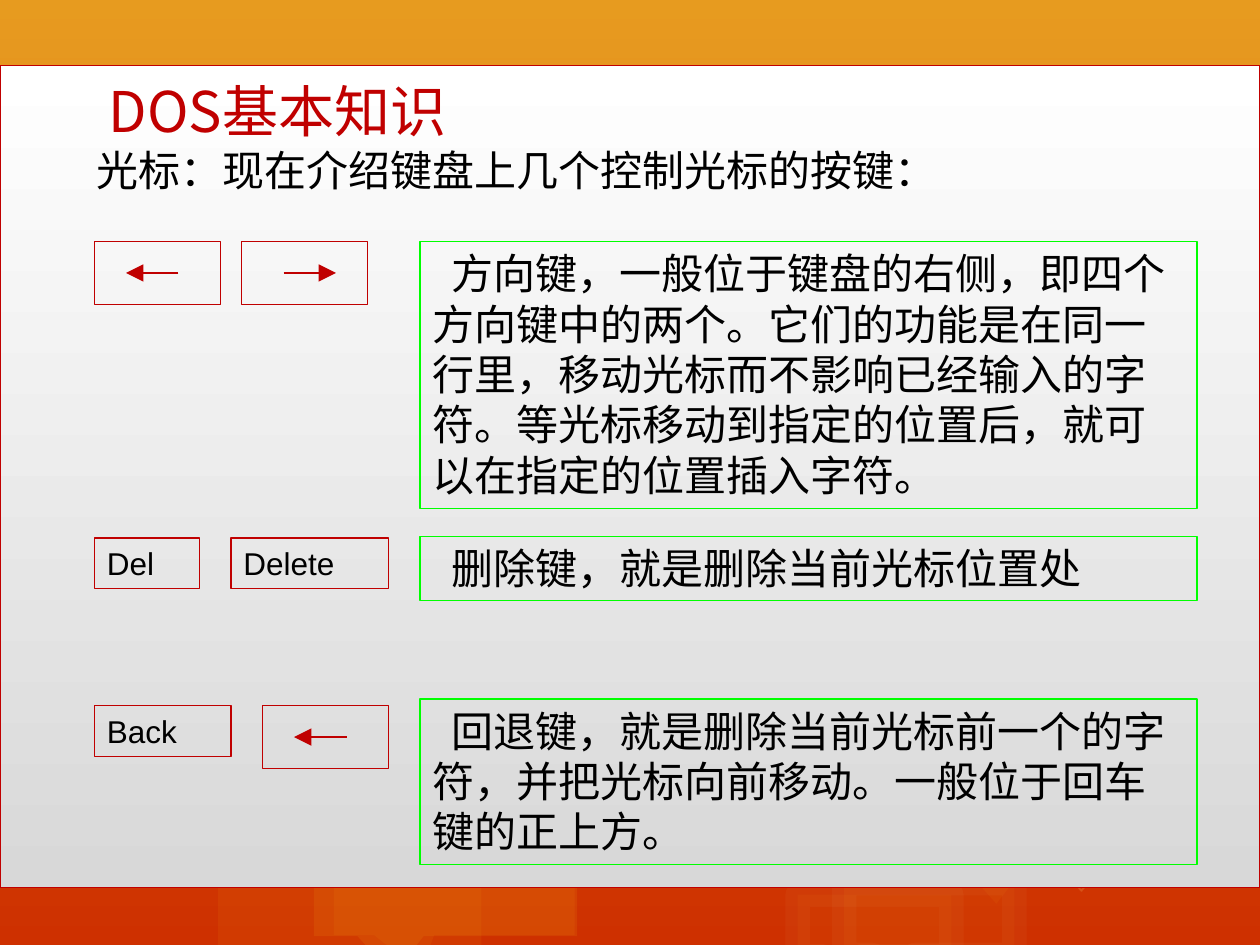
from lxml.etree import SubElement
from pptx import Presentation
from pptx.dml.color import RGBColor
from pptx.enum.shapes import MSO_CONNECTOR, MSO_SHAPE
from pptx.enum.text import MSO_ANCHOR, MSO_AUTO_SIZE, PP_ALIGN
from pptx.oxml.ns import qn
from pptx.util import Pt

COLORS = {
    "sky": "E29121", "ember": "CE3000", "amber": "FDC51B", "cream": "FEEAAC",
    "butter": "FFE181", "white": "FFFFFF", "silver": "D8D8D8", "red": "C00000",
    "green": "00FF00", "black": "000000",
}
CJK, LATIN = "Noto Sans CJK SC", "Arial"
NOTE_LEFT, NOTE_WIDTH = 240, 444
LABEL_HEIGHT, ARROW_KEY_WIDTH, ARROW_KEY_HEIGHT = 29, 72, 36
POINTER = (-0.2, 0.65)
FAINT_EDGE = ("cream", 14, 3)

CALLOUTS = [
    ((190.8, 383.8, 137.5, 150.5), "amber", 7, None, (-0.14, 0.64)),
    ((179.3, 384.5, 150.5, 150.5), "amber", 10, None, POINTER),
    ((0, 0, 720, 146.9), "amber", 20, None, (-0.2, 0.45)),
    ((524.2, 343.4, 150.5, 150.5), "amber", 5, None, POINTER),
    ((455.8, 511.2, 87.8, 35.3), "amber", 5, FAINT_EDGE, POINTER),
    ((482.4, 504.7, 97.2, 41), "amber", 5, FAINT_EDGE, POINTER),
    ((600.5, 442.1, 58.3, 58.3), "butter", 5, ("butter", 1, 14), POINTER),
    ((648, 446.4, 47.5, 47.5), "butter", 5, ("butter", 5, 14), POINTER),
    ((124.6, 429.8, 150.5, 115.9), "amber", 7, None, POINTER),
]
LABEL_KEYS = [("Del", 54, 307.4, 60), ("Delete", 132, 307.4, 90), ("Back", 54, 403.2, 78)]
ARROW_KEYS = [(138, 138, 162, 192), (54, 138, 102, 72), (150, 403.2, 198, 168)]
NOTES = [
    ("方向键，一般位于键盘的右侧，即四个方向键中的两个。它们的功能是在同一行里，"
     "移动光标而不影响已经输入的字符。等光标移动到指定的位置后，就可以在指定的位置插入字符。",
     138, 152.6),
    ("删除键，就是删除当前光标位置处", 306.7, 36.3),
    ("回退键，就是删除当前光标前一个的字符，并把光标向前移动。一般位于回车键的正上方。",
     399.4, 94.6),
]


def rgb(name):
    """Return the named palette colour."""
    return RGBColor.from_string(COLORS[name])


def fade(fill, color_name, opacity):
    """Fill with a colour at the given percentage of opacity."""
    fill.solid()
    fill.fore_color.rgb = rgb(color_name)
    color = fill._xPr.find(qn("a:solidFill")).find(qn("a:srgbClr"))
    SubElement(color, qn("a:alpha")).set("val", str(opacity * 1000))


def blend(fill, top_color, bottom_color):
    """Apply a gradient running from top to bottom."""
    fill.gradient()
    fill.gradient_angle = 270
    for stop, name in zip(fill.gradient_stops, (top_color, bottom_color)):
        stop.color.rgb = rgb(name)


def write(frame, wording, size, font_name, color="black", indent=0, pitch=None):
    """Put one left-aligned paragraph into a text frame."""
    frame.word_wrap = True
    frame.auto_size = MSO_AUTO_SIZE.NONE
    frame.vertical_anchor = MSO_ANCHOR.TOP
    frame.text = wording
    paragraph = frame.paragraphs[0]
    properties = paragraph._p.get_or_add_pPr()
    properties.set("marL", "0")
    properties.set("indent", str(Pt(indent)))
    SubElement(properties, qn("a:buNone"))
    paragraph.alignment = PP_ALIGN.LEFT
    paragraph.space_before = Pt(0)
    if pitch:
        paragraph.line_spacing = Pt(pitch)
    font = paragraph.font
    font.size = Pt(size)
    font.name = font_name
    font.color.rgb = rgb(color)
    SubElement(properties.find(qn("a:defRPr")), qn("a:ea")).set("typeface", font_name)


def place(holder, left, top, width, height):
    """Move and size a placeholder."""
    holder.left, holder.top = Pt(left), Pt(top)
    holder.width, holder.height = Pt(width), Pt(height)


def add_box(shapes, left, top, width, height, outline, preset=MSO_SHAPE.RECTANGLE):
    """Add an unfilled shape with a thin outline, or none."""
    box = shapes.add_shape(preset, Pt(left), Pt(top), Pt(width), Pt(height))
    box.shadow.inherit = False
    box.fill.background()
    if outline:
        box.line.color.rgb = rgb(outline)
        box.line.width = Pt(0.75)
    else:
        box.line.fill.background()
    return box


def add_callout(shapes, bounds, color, opacity, edge, pointer):
    """Add a translucent background callout."""
    callout = add_box(shapes, *bounds, None, MSO_SHAPE.RECTANGULAR_CALLOUT)
    callout.adjustments[0], callout.adjustments[1] = pointer
    fade(callout.fill, color, opacity)
    if edge:
        edge_color, edge_width, edge_opacity = edge
        fade(callout.line.fill, edge_color, edge_opacity)
        callout.line.width = Pt(edge_width)


def add_label_key(shapes, label, left, top, width):
    """Add a key that carries a word."""
    key = add_box(shapes, left, top, width, LABEL_HEIGHT, "red")
    write(key.text_frame, label, 18, LATIN)


def add_arrow_key(shapes, left, top, start, end):
    """Add a grouped key that carries a horizontal arrow."""
    key = shapes.add_group_shape().shapes
    middle = Pt(top + ARROW_KEY_HEIGHT / 2)
    arrow = key.add_connector(MSO_CONNECTOR.STRAIGHT, Pt(start), middle, Pt(end), middle)
    arrow.line.color.rgb = rgb("red")
    arrow.line.width = Pt(0.75)
    head = SubElement(arrow.line._get_or_add_ln(), qn("a:tailEnd"))
    for name, setting in (("type", "triangle"), ("w", "lg"), ("len", "lg")):
        head.set(name, setting)
    SubElement(arrow._element.spPr, qn("a:effectLst"))
    add_box(key, left, top, ARROW_KEY_WIDTH, ARROW_KEY_HEIGHT, "red")


def add_note(shapes, wording, top, height):
    """Add a green box that explains a key."""
    note = add_box(shapes, NOTE_LEFT, top, NOTE_WIDTH, height, "green")
    write(note.text_frame, wording, 24, CJK, indent=10.75, pitch=28.8)


def main():
    """Build the slide and save it."""
    deck = Presentation()
    deck.slide_width, deck.slide_height = Pt(720), Pt(540)
    slide = deck.slides.add_slide(deck.slide_layouts[1])
    shapes = slide.shapes
    blend(slide.background.fill, "sky", "ember")
    for callout in CALLOUTS:
        add_callout(shapes, *callout)
    panel = add_box(shapes, 0, 37.4, 720, 469.7, "red")
    blend(panel.fill, "white", "silver")

    heading, lead = slide.placeholders
    for holder in (heading, lead):
        shapes._spTree.append(holder._element)
    place(heading, 48.2, 40.1, 635.8, 42)
    write(heading.text_frame, "DOS基本知识", 32, CJK, "red", indent=6.7, pitch=38.4)
    place(lead, 48.2, 78.7, 635.8, 33.6)
    write(lead.text_frame, "光标：现在介绍键盘上几个控制光标的按键：", 24, CJK, pitch=28.8)

    for key in LABEL_KEYS:
        add_label_key(shapes, *key)
    for key in ARROW_KEYS:
        add_arrow_key(shapes, *key)
    for note in NOTES:
        add_note(shapes, *note)
    deck.save("out.pptx")


if __name__ == "__main__":
    main()
